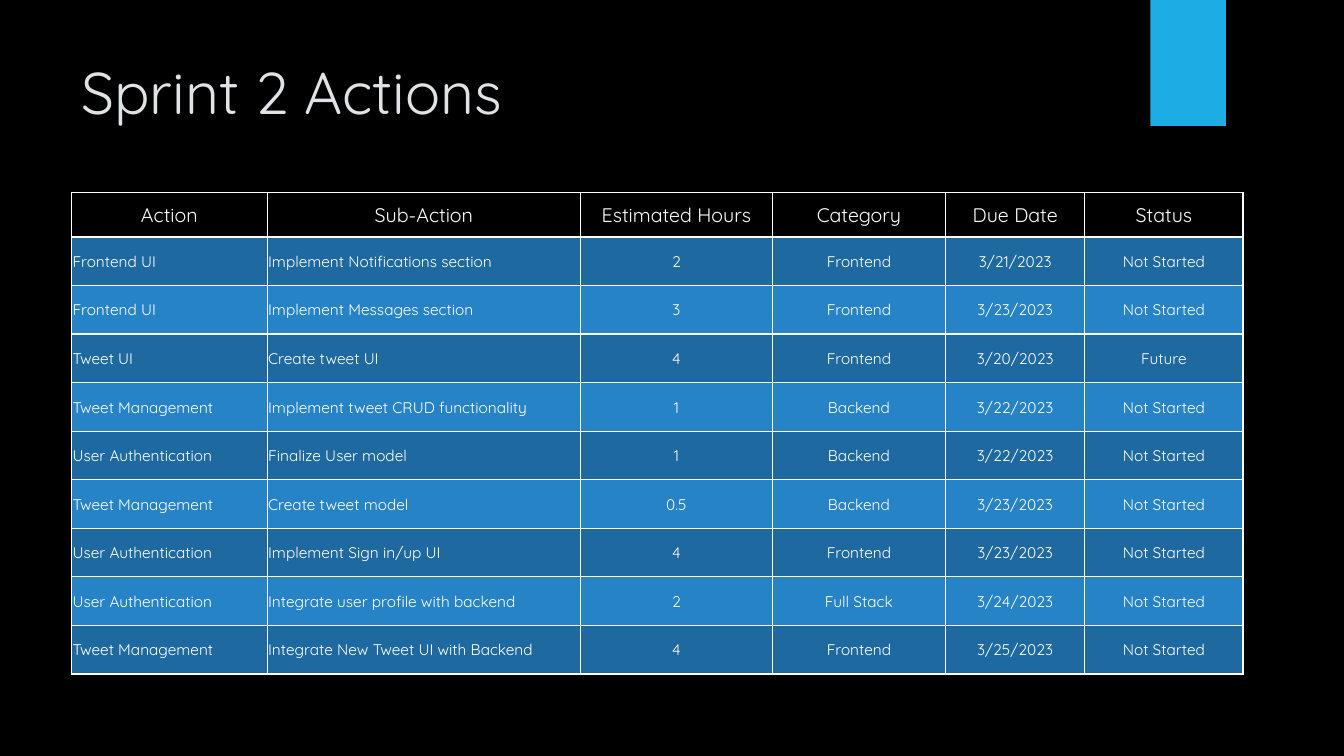
from dataclasses import astuple, dataclass

from lxml import etree
from pptx import Presentation
from pptx import util as u
from pptx.dml.color import RGBColor
from pptx.enum import shapes, text
from pptx.oxml import ns

FONT = "Quicksand"
COLORS = {
    "back": "000000",
    "tab": "1CADE4",
    "title": "DFE3E5",
    "text": "FFFFFF",
    "odd": "1E699F",
    "even": "2683C6",
}


@dataclass
class Col:
    name: str
    width: float
    align: text.PP_ALIGN = text.PP_ALIGN.CENTER


@dataclass
class Task:
    action: str
    sub: str
    hours: str
    kind: str
    due: str
    status: str = "Not Started"


COLS = [
    Col("Action", 1.94, text.PP_ALIGN.LEFT),
    Col("Sub-Action", 3.11, text.PP_ALIGN.LEFT),
    Col("Estimated Hours", 1.9),
    Col("Category", 1.72),
    Col("Due Date", 1.38),
    Col("Status", 1.57),
]
TASKS = [
    Task("Frontend UI", "Implement Notifications section", "2", "Frontend", "3/21/2023"),
    Task("Frontend UI", "Implement Messages section", "3", "Frontend", "3/23/2023"),
    Task("Tweet UI", "Create tweet UI", "4", "Frontend", "3/20/2023", "Future"),
    Task("Tweet Management", "Implement tweet CRUD functionality", "1", "Backend", "3/22/2023"),
    Task("User Authentication", "Finalize User model", "1", "Backend", "3/22/2023"),
    Task("Tweet Management", "Create tweet model", "0.5", "Backend", "3/23/2023"),
    Task("User Authentication", "Implement Sign in/up UI", "4", "Frontend", "3/23/2023"),
    Task("User Authentication", "Integrate user profile with backend", "2", "Full Stack", "3/24/2023"),
    Task("Tweet Management", "Integrate New Tweet UI with Backend", "4", "Frontend", "3/25/2023"),
]
LEFT, TOP, WIDTH, HEIGHT = 0.71, 1.91, 11.62, 4.78
HEAD = 0.44


def tint(fill, color: str) -> None:
    fill.solid()
    fill.fore_color.rgb = RGBColor.from_string(COLORS[color])


def style(frame, size: float, color: str, align=text.PP_ALIGN.LEFT) -> None:
    for para in frame.paragraphs:
        para.alignment = align
        for run in para.runs:
            run.font.name = FONT
            run.font.size = u.Pt(size)
            run.font.color.rgb = RGBColor.from_string(COLORS[color])


def underline(cell, color: str, width: float) -> None:
    """Draw the bottom border of a cell."""
    line = etree.Element(ns.qn("a:lnB"), w=str(u.Pt(width)))
    solid = etree.SubElement(line, ns.qn("a:solidFill"))
    etree.SubElement(solid, ns.qn("a:srgbClr"), val=COLORS[color])
    cell._tc.get_or_add_tcPr().insert(0, line)


def put(cell, words: str, size: float, fill: str, align) -> None:
    cell.text_frame.text = words
    style(cell.text_frame, size, "text", align)
    cell.vertical_anchor = text.MSO_ANCHOR.MIDDLE
    cell.margin_left = cell.margin_right = cell.margin_top = u.Inches(0.01)
    cell.margin_bottom = 0
    tint(cell.fill, fill)


def add_title(slide, words: str) -> None:
    box = slide.shapes.add_textbox(u.Inches(LEFT), u.Inches(0.5), u.Inches(10.29), u.Inches(1.53))
    box.text_frame.word_wrap = True
    box.text_frame.text = words
    style(box.text_frame, 42, "title")


def add_tab(slide) -> None:
    tab = slide.shapes.add_shape(
        shapes.MSO_SHAPE.RECTANGLE, u.Inches(11.41), 0, u.Inches(0.75), u.Inches(1.25))
    tab.shadow.inherit = False
    tint(tab.fill, "tab")
    tab.line.fill.background()


def add_tasks(slide) -> None:
    table = slide.shapes.add_table(
        len(TASKS) + 1, len(COLS),
        u.Inches(LEFT), u.Inches(TOP), u.Inches(WIDTH), u.Inches(HEIGHT)).table

    # Row heights: a header, then equal rows
    for i, row in enumerate(table.rows):
        row.height = u.Inches((HEIGHT - HEAD) / len(TASKS) if i else HEAD)

    # Header cells
    for j, col in enumerate(COLS):
        table.columns[j].width = u.Inches(col.width)
        cell = table.cell(0, j)
        put(cell, col.name, 14, "back", text.PP_ALIGN.CENTER)
        underline(cell, "text", 2)

    # Task rows in alternating blues
    for i, task in enumerate(TASKS, 1):
        fill = "odd" if i % 2 else "even"
        for j, (col, words) in enumerate(zip(COLS, astuple(task))):
            put(table.cell(i, j), words, 11, fill, col.align)


def main() -> None:
    deck = Presentation()
    deck.slide_width, deck.slide_height = u.Inches(13.33), u.Inches(7.5)
    slide = deck.slides.add_slide(deck.slide_layouts[6])
    tint(slide.background.fill, "back")
    add_tab(slide)
    add_title(slide, "Sprint 2 Actions")
    add_tasks(slide)
    deck.save("out.pptx")


if __name__ == "__main__":
    main()
